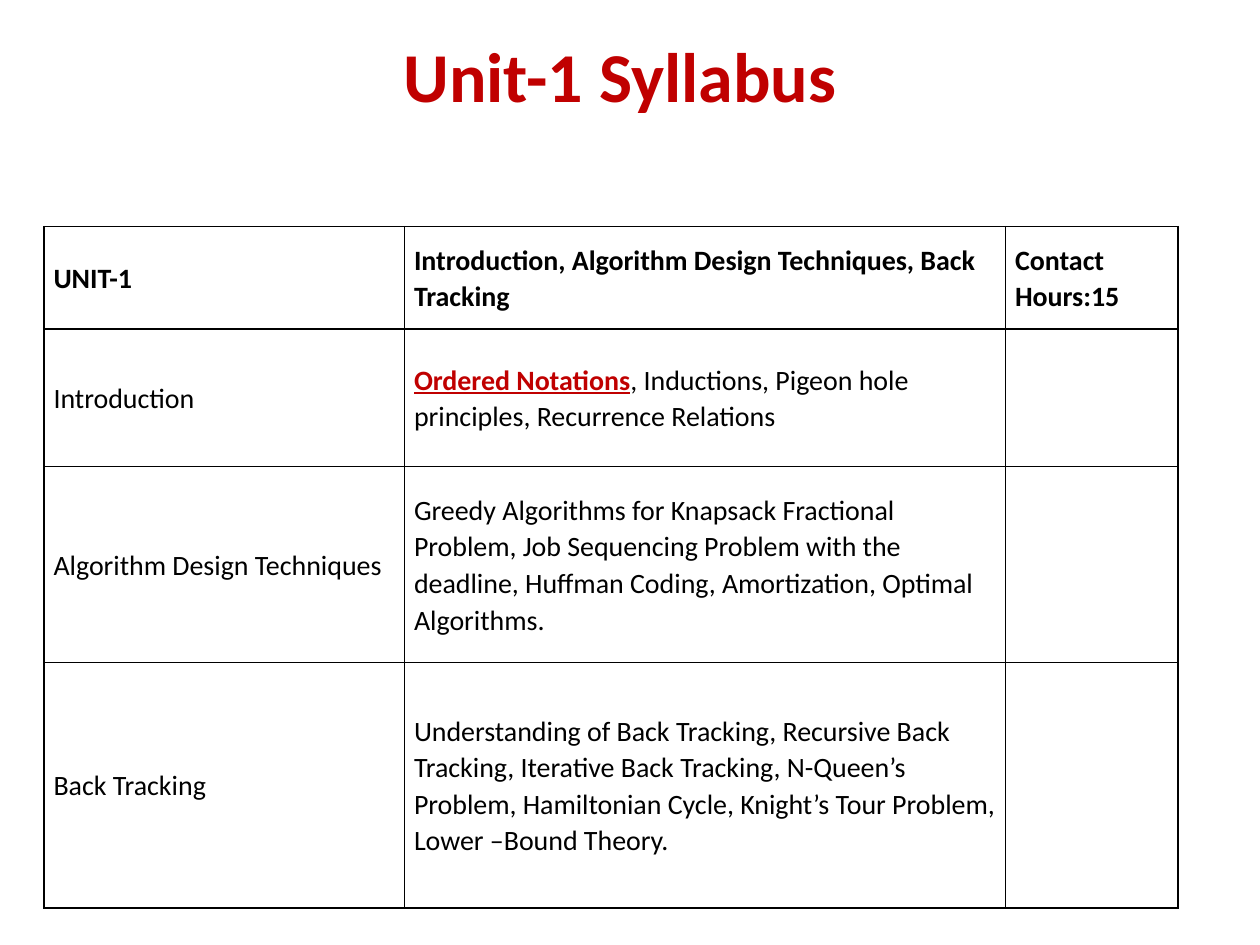
from lxml.etree import SubElement
from pptx import Presentation
from pptx.dml.color import RGBColor
from pptx.enum.text import MSO_ANCHOR, PP_ALIGN
from pptx.oxml.ns import qn
from pptx.util import Pt

COLORS = {"accent": "C00000", "text": "000000", "border": "000000"}
FONT = "Calibri"
COLUMN_WIDTHS = [206, 343.5, 98.5]
ROW_HEIGHTS = [58.5, 78.5, 112, 140.5]
HIGHLIGHT = "Ordered Notations"
SYLLABUS = [
    ["UNIT-1", "Introduction, Algorithm Design Techniques, Back Tracking", "Contact Hours:15"],
    ["Introduction",
     "Ordered Notations, Inductions, Pigeon hole principles, Recurrence Relations", ""],
    ["Algorithm Design Techniques",
     "Greedy Algorithms for Knapsack Fractional Problem, Job Sequencing Problem with the "
     "deadline, Huffman Coding, Amortization, Optimal Algorithms.", ""],
    ["Back Tracking",
     "Understanding of Back Tracking, Recursive Back Tracking, Iterative Back Tracking, "
     "N-Queen’s Problem, Hamiltonian Cycle, Knight’s Tour Problem, Lower –Bound Theory.", ""],
]


def format_run(run, size, color, bold=False, underline=False):
    run.font.name = FONT
    run.font.size = Pt(size)
    run.font.bold = bold
    run.font.underline = underline
    run.font.color.rgb = RGBColor.from_string(COLORS[color])


def add_title(slide, left, top, width, height):
    title = slide.shapes.title
    title.left, title.top, title.width, title.height = map(Pt, (left, top, width, height))
    frame = title.text_frame
    frame.text = "Unit-1 Syllabus"
    frame.vertical_anchor = MSO_ANCHOR.MIDDLE
    heading = frame.paragraphs[0]
    heading.alignment = PP_ALIGN.CENTER
    heading.line_spacing = 0.9
    format_run(heading.runs[0], 40, "accent", bold=True)


def draw_borders(cell):
    properties = cell._tc.get_or_add_tcPr()
    for side in ("a:lnL", "a:lnR", "a:lnT", "a:lnB"):
        line = SubElement(properties, qn(side), w=str(Pt(1)))
        fill = SubElement(line, qn("a:solidFill"))
        SubElement(fill, qn("a:srgbClr"), val=COLORS["border"])


def fill_cell(cell, content, is_header):
    draw_borders(cell)
    cell.fill.background()
    cell.vertical_anchor = MSO_ANCHOR.MIDDLE
    cell.margin_left = cell.margin_right = Pt(5.4)
    cell.margin_top = cell.margin_bottom = Pt(0)
    if not content:
        return
    topics = cell.text_frame.paragraphs[0]
    topics.line_spacing = 1.07
    if content.startswith(HIGHLIGHT):
        topics.text = HIGHLIGHT
        format_run(topics.runs[0], 16, "accent", bold=True, underline=True)
        remainder = topics.add_run()
        remainder.text = content.removeprefix(HIGHLIGHT)
        format_run(remainder, 16, "text")
    else:
        topics.text = content
        format_run(topics.runs[0], 16, "text", bold=is_header)


def add_syllabus(slide, left, top, width, height):
    syllabus = slide.shapes.add_table(
        len(SYLLABUS), len(COLUMN_WIDTHS), Pt(left), Pt(top), Pt(width), Pt(height)).table
    syllabus.first_row = syllabus.horz_banding = False
    for column, share in zip(syllabus.columns, COLUMN_WIDTHS):
        column.width = Pt(width * share / sum(COLUMN_WIDTHS))
    for row, share in zip(syllabus.rows, ROW_HEIGHTS):
        row.height = Pt(height * share / sum(ROW_HEIGHTS))
    for row_index, (row, contents) in enumerate(zip(syllabus.rows, SYLLABUS)):
        for cell, content in zip(row.cells, contents):
            fill_cell(cell, content, is_header=row_index == 0)


def main():
    presentation = Presentation()
    presentation.slide_width, presentation.slide_height = Pt(720), Pt(540)
    slide = presentation.slides.add_slide(presentation.slide_layouts[5])
    add_title(slide, 44, 21.5, 620.5, 48)
    add_syllabus(slide, 25.2, 129.5, 648, 389.5)
    presentation.save("out.pptx")


if __name__ == "__main__":
    main()
